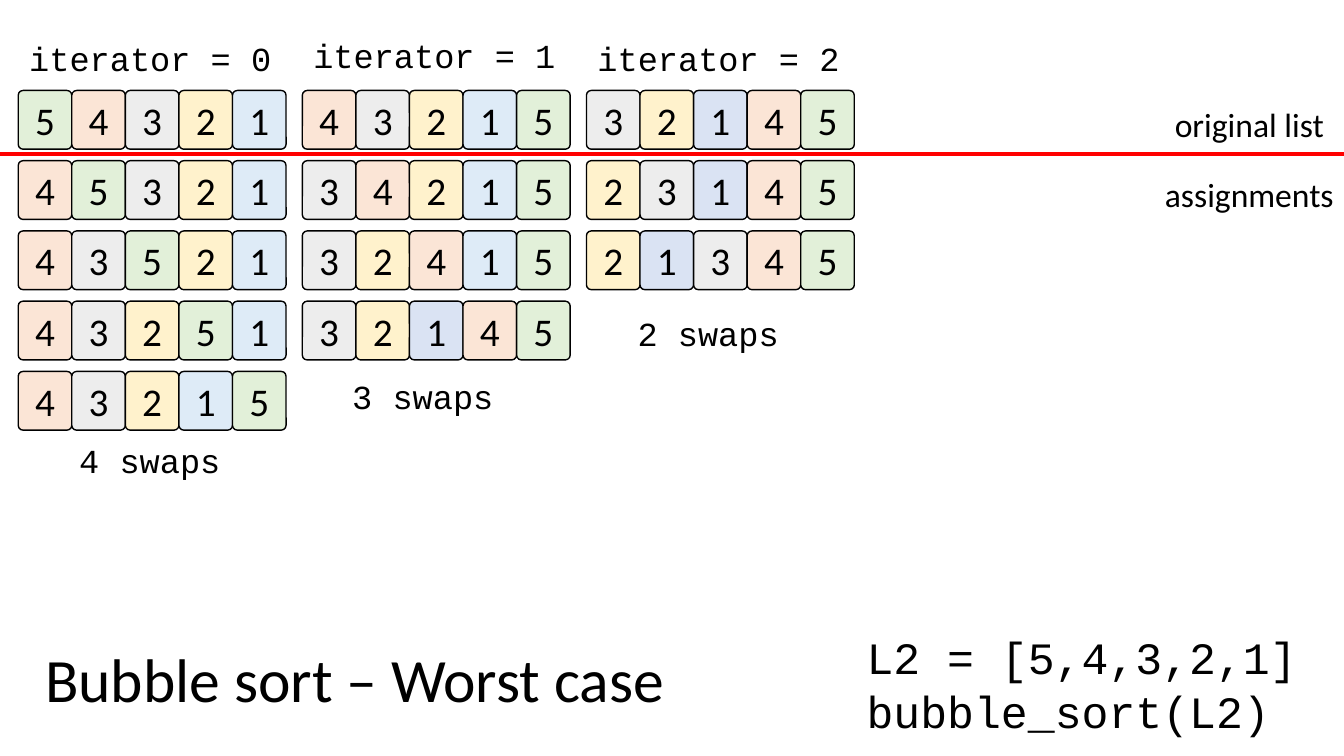
import pptx
import pptx.dml.color
import pptx.enum.shapes
import pptx.enum.text
import pptx.util
from lxml import etree

Cm = pptx.util.Cm
Pt = pptx.util.Pt
ALIGN = pptx.enum.text.PP_ALIGN
ANCHOR = pptx.enum.text.MSO_ANCHOR

COLOURS = {
    "text": "000000",
    "divider": "FF0000",
    "1": "DEEBF7",
    "1 near front": "DAE3F3",
    "2": "FFF2CC",
    "3": "EDEDED",
    "4": "FBE5D6",
    "5": "E2F0D9",
}
SANS, MONO = "Calibri", "Courier New"
CELL_WIDTH, CELL_HEIGHT = 1.35, 1.48
GRID_LEFT, GRID_TOP = 0.46, 2.28
PASS_PITCH, ROW_PITCH = 7.16, 1.77

# Top of the heading, then left and top of the swap count, in cm
PASS_LABELS = [(0.84, 0.74, 10.97), (0.75, 7.62, 9.35), (0.84, 14.81, 7.77)]


def colour(name):
    return pptx.dml.color.RGBColor.from_string(COLOURS[name])


def write(frame, lines, size, font, align):
    frame.text = "\n".join(lines)
    for para in frame.paragraphs:
        para.alignment = align
        para.font.size = Pt(size)
        para.font.name = font
        para.font.color.rgb = colour("text")


def add_text(page, lines, left, top, width, height, size=24, font=MONO,
             align=ALIGN.CENTER, wrap=True):
    box = page.shapes.add_textbox(Cm(left), Cm(top), Cm(width), Cm(height))
    box.text_frame.word_wrap = wrap
    write(box.text_frame, lines, size, font, align)
    return box


def add_cell(page, number, index, left, top):
    box = page.shapes.add_shape(
        pptx.enum.shapes.MSO_SHAPE.ROUNDED_RECTANGLE,
        Cm(left), Cm(top), Cm(CELL_WIDTH), Cm(CELL_HEIGHT))
    box.adjustments[0] = 0.09
    box.shadow.inherit = False
    near_front = number == 1 and index <= 2
    box.fill.solid()
    box.fill.fore_color.rgb = colour("1 near front" if near_front else str(number))
    box.line.color.rgb = colour("text")
    box.line.width = Pt(1)
    box.text_frame.vertical_anchor = ANCHOR.MIDDLE
    write(box.text_frame, [str(number)], 28, SANS, ALIGN.CENTER)


def bubble_pass(numbers, swaps):
    """Return the list before the pass and after each of its swaps."""
    rows = [list(numbers)]
    for i in range(swaps):
        row = list(rows[-1])
        row[i], row[i + 1] = row[i + 1], row[i]
        rows.append(row)
    return rows


def add_pass(page, iterator, rows):
    left = GRID_LEFT + iterator * PASS_PITCH
    heading_top, swaps_left, swaps_top = PASS_LABELS[iterator]
    for r, row in enumerate(rows):
        for c, number in enumerate(row):
            add_cell(page, number, c, left + c * CELL_WIDTH, GRID_TOP + r * ROW_PITCH)
    add_text(page, [f"iterator = {iterator}"], left, heading_top, 6.65, 1.27, wrap=False)
    add_text(page, [f"{len(rows) - 1} swaps"], swaps_left, swaps_top, 6.07, 1.27)


def add_divider(page, left, right, y):
    line = page.shapes.add_connector(
        pptx.enum.shapes.MSO_CONNECTOR.STRAIGHT, Cm(left), Cm(y), Cm(right), Cm(y))
    line.line.color.rgb = colour("divider")
    line.line.width = Pt(3)
    properties = line._element.spPr
    etree.SubElement(properties, pptx.oxml.ns.qn("a:effectLst"))


def main():
    deck = pptx.Presentation()
    deck.slide_width, deck.slide_height = Cm(33.87), Cm(19.05)
    page = deck.slides.add_slide(deck.slide_layouts[6])

    numbers = [5, 4, 3, 2, 1]
    for iterator in range(len(PASS_LABELS)):
        rows = bubble_pass(numbers, len(numbers) - 1 - iterator)
        add_pass(page, iterator, rows)
        numbers = rows[-1]

    add_divider(page, -0.94, 34.14, 3.88)
    for label, top in [("original list", 2.5), ("assignments", 4.27)]:
        add_text(page, [label], 28.45, top, 6.07, 1.27, font=SANS)

    add_text(page, ["L2 = [5,4,3,2,1]", "bubble_sort(L2)"], 21.59, 15.75, 15.24, 3,
             size=32, align=ALIGN.LEFT)
    title = add_text(page, ["Bubble sort – Worst case"], 0.89, 15.37, 29.21, 3.68,
                     size=44, font=SANS, align=ALIGN.LEFT)
    title.text_frame.vertical_anchor = ANCHOR.MIDDLE
    title.text_frame.paragraphs[0].line_spacing = 0.9

    deck.save("out.pptx")


if __name__ == "__main__":
    main()
